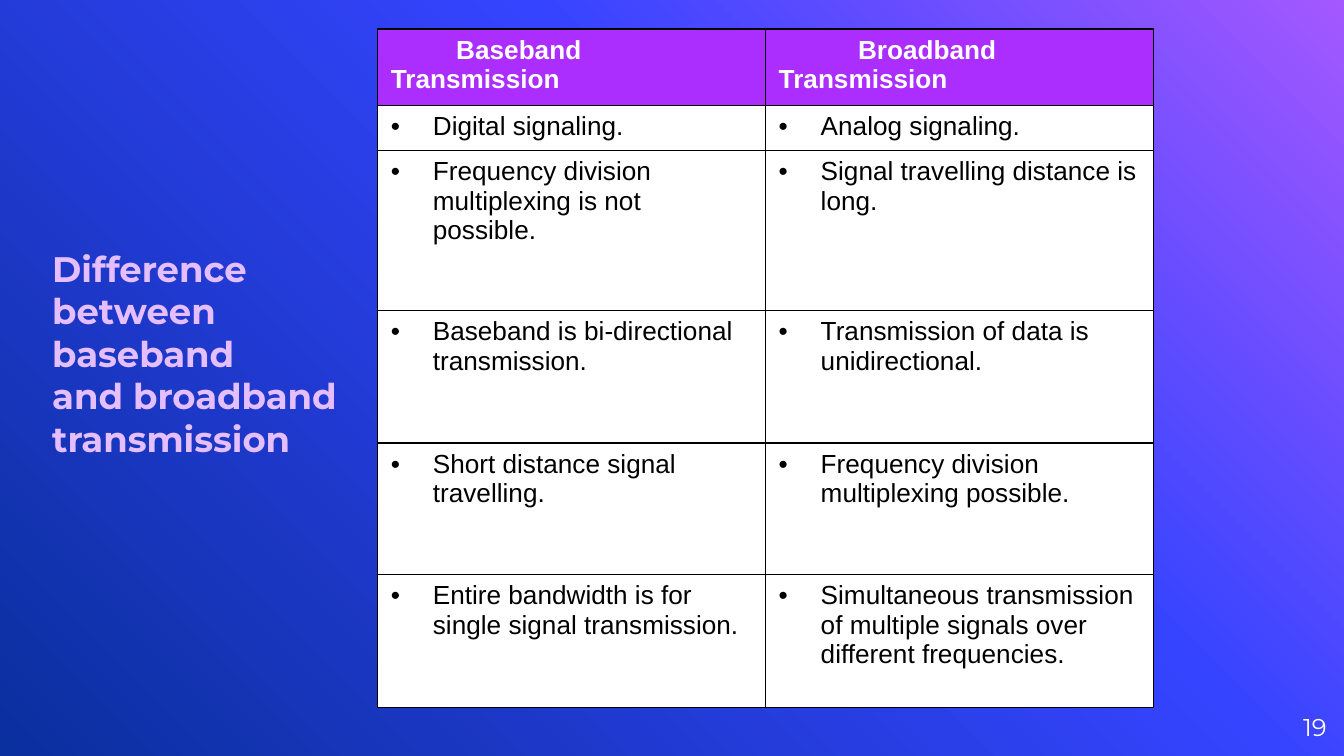
import copy
from dataclasses import dataclass

import pptx
import pptx.dml.color
import pptx.enum.text
import pptx.oxml
import pptx.oxml.ns
import pptx.util

Pt = pptx.util.Pt
RGBColor = pptx.dml.color.RGBColor
Align = pptx.enum.text.PP_ALIGN
Anchor = pptx.enum.text.MSO_ANCHOR
qn = pptx.oxml.ns.qn

WHITE = RGBColor(0xFF, 0xFF, 0xFF)
BLACK = RGBColor(0x00, 0x00, 0x00)
PURPLE = RGBColor(0xAB, 0x2E, 0xFF)
LILAC = RGBColor(0xE5, 0xBE, 0xFF)
BACKDROP = [
    (0, RGBColor(0xA4, 0x58, 0xFF)),
    (0.39, RGBColor(0x35, 0x44, 0xFF)),
    (1, RGBColor(0x0A, 0x2F, 0x9E)),
]
BULLET_INDENT = 22.5
BORDER_WIDTH = 0.75


@dataclass
class Heading:
    text: str
    indent: float


@dataclass
class Comparison:
    height: float
    baseband: str
    broadband: str


HEADINGS = [
    Heading("Baseband Transmission", 35),
    Heading("Broadband Transmission", 42.5),
]
HEADING_HEIGHT = 38.6
COMPARISONS = [
    Comparison(23.2, "Digital signaling.", "Analog signaling."),
    Comparison(85.7, "Frequency division multiplexing is not possible.",
               "Signal travelling distance is long."),
    Comparison(71.2, "Baseband is bi-directional transmission.",
               "Transmission of data is unidirectional."),
    Comparison(70.4, "Short distance signal travelling.",
               "Frequency division multiplexing possible."),
    Comparison(71.2, "Entire bandwidth is for single signal transmission.",
               "Simultaneous transmission of multiple signals over different frequencies."),
]


def write(frame, text: str, *, size: float, font: str, color: RGBColor,
          bold: bool = False, align=Align.LEFT):
    """Write text into the frame's first paragraph; a newline is a line break."""
    para = frame.paragraphs[0]
    para.alignment = align
    for number, line in enumerate(text.split("\n")):
        if number:
            para.add_line_break()
        span = para.add_run()
        span.text = line
        span.font.size = Pt(size)
        span.font.name = font
        span.font.bold = bold
        span.font.color.rgb = color
    return para


def add_text_box(page, left: float, top: float, width: float, height: float,
                 text: str, anchor, **text_format) -> None:
    box = page.shapes.add_textbox(Pt(left), Pt(top), Pt(width), Pt(height))
    frame = box.text_frame
    frame.word_wrap = True
    frame.vertical_anchor = anchor
    frame.margin_left = frame.margin_right = 0
    frame.margin_top = frame.margin_bottom = 0
    write(frame, text, font="Montserrat", **text_format)


def set_indent(para, margin: float, first_line: float) -> None:
    properties = para._p.get_or_add_pPr()
    properties.set("marL", str(int(Pt(margin))))
    properties.set("indent", str(int(Pt(first_line))))


def add_bullet(para) -> None:
    set_indent(para, BULLET_INDENT, -BULLET_INDENT)
    properties = para._p.get_or_add_pPr()
    color = pptx.oxml.ns.nsdecls("a")
    for xml in (f'<a:buClr {color}><a:srgbClr val="{BLACK}"/></a:buClr>',
                f'<a:buFont {color} typeface="Arial"/>',
                f'<a:buChar {color} char="•"/>'):
        properties.append(pptx.oxml.parse_xml(xml))


def style_cell(cell, fill: RGBColor) -> None:
    cell.fill.solid()
    cell.fill.fore_color.rgb = fill
    properties = cell._tc.get_or_add_tcPr()
    for position, side in enumerate(("lnL", "lnR", "lnT", "lnB")):
        properties.insert(position, pptx.oxml.parse_xml(
            f'<a:{side} {pptx.oxml.ns.nsdecls("a")} w="{int(Pt(BORDER_WIDTH))}">'
            f'<a:solidFill><a:srgbClr val="{BLACK}"/></a:solidFill></a:{side}>'))


def paint_background(page) -> None:
    fill = page.background.fill
    fill.gradient()
    fill.gradient_angle = 225
    stop_list = page._element.find(".//" + qn("a:gsLst"))
    stop_list.append(copy.deepcopy(stop_list[-1]))
    for stop, (position, color) in zip(fill.gradient_stops, BACKDROP):
        stop.position = position
        stop.color.rgb = color


def add_comparison_table(page, left: float, top: float, width: float) -> None:
    heights = [HEADING_HEIGHT] + [row.height for row in COMPARISONS]
    table = page.shapes.add_table(
        len(heights), len(HEADINGS), Pt(left), Pt(top), Pt(width), Pt(sum(heights))).table
    table.horz_banding = False
    for column in table.columns:
        column.width = Pt(width / len(HEADINGS))
    for row, height in zip(table.rows, heights):
        row.height = Pt(height)

    # Heading row
    for column, heading in enumerate(HEADINGS):
        cell = table.cell(0, column)
        para = write(cell.text_frame, heading.text, size=14, font="Arial",
                     color=WHITE, bold=True)
        set_indent(para, 0, heading.indent)
        style_cell(cell, PURPLE)

    # Bulleted rows
    for row, comparison in enumerate(COMPARISONS, start=1):
        for column, text in enumerate((comparison.baseband, comparison.broadband)):
            cell = table.cell(row, column)
            add_bullet(write(cell.text_frame, text, size=14, font="Arial", color=BLACK))
            style_cell(cell, WHITE)


def main() -> None:
    deck = pptx.Presentation()
    deck.slide_width, deck.slide_height = Pt(720), Pt(405)
    page = deck.slides.add_slide(deck.slide_layouts[6])
    paint_background(page)

    # Title and page number
    add_text_box(page, 28, 134.6, 153, 111.6,
                 "Difference between baseband\nand broadband transmission",
                 Anchor.BOTTOM, size=19, color=LILAC, bold=True)
    add_text_box(page, 667.5, 373.7, 43.2, 31, "19", Anchor.MIDDLE,
                 size=13, color=WHITE, align=Align.RIGHT)

    # Comparison of the two kinds of transmission
    add_comparison_table(page, 202.2, 15.6, 415.6)
    deck.save("out.pptx")


if __name__ == "__main__":
    main()
